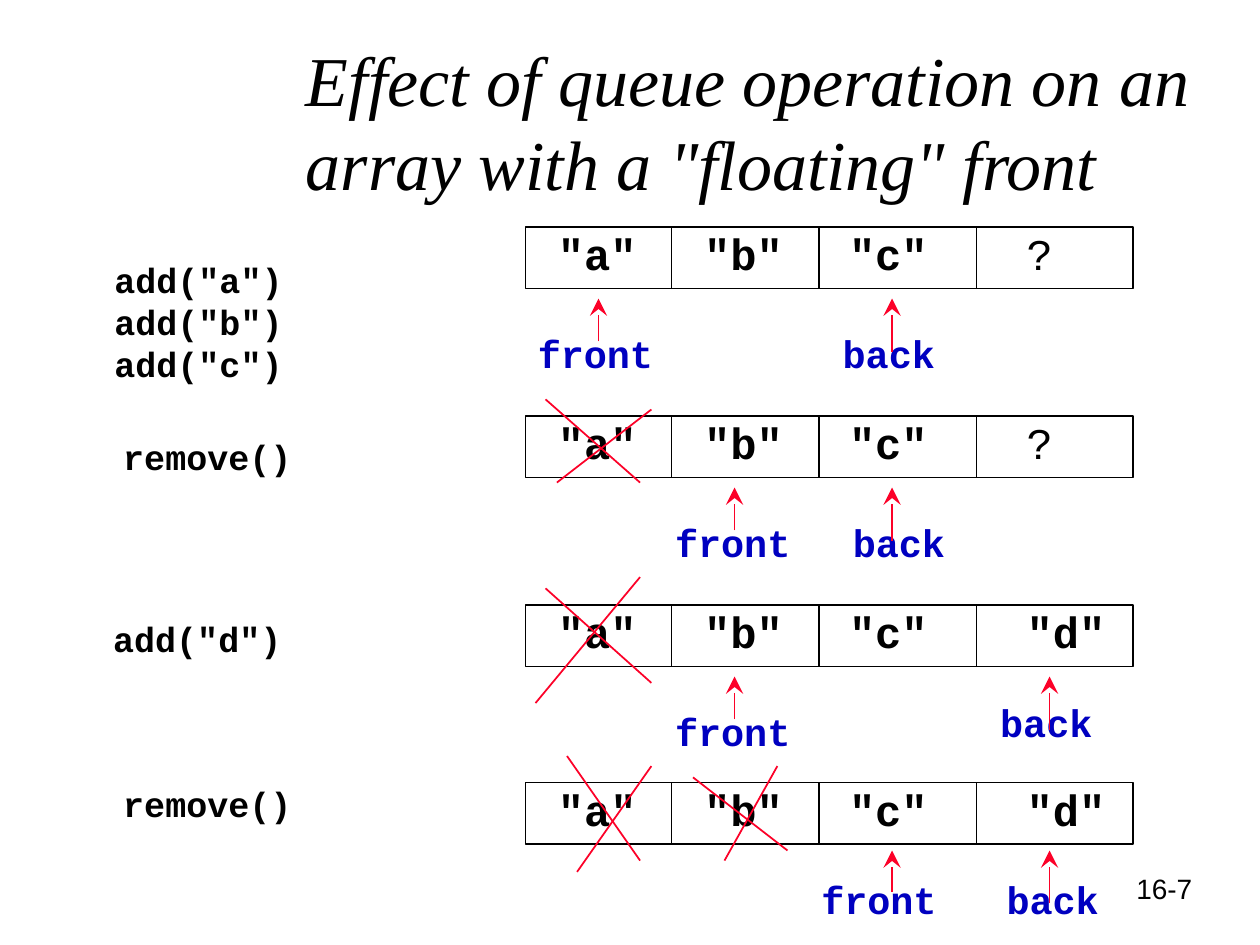
from lxml.etree import SubElement
from pptx import Presentation
from pptx.dml.color import RGBColor
from pptx.enum.shapes import MSO_CONNECTOR, MSO_SHAPE
from pptx.enum.text import MSO_ANCHOR
from pptx.oxml.ns import qn
from pptx.util import Inches, Pt

BLACK = RGBColor(0x00, 0x00, 0x00)
BLUE = RGBColor(0x00, 0x00, 0xC0)
RED = RGBColor(0xFC, 0x01, 0x28)
MONO = "Courier New"

TITLE = 'Effect of queue operation on an array with a "floating" front'
PAGE = "16-7"

# Calls: left, top, width, lines
CALLS = [
    (0.81, 2, 2.2, ['add("a")', 'add("b")', 'add("c")']),
    (0.88, 3.41, 1.54, ["remove()"]),
    (0.8, 4.85, 1.54, ['add("d")']),
    (0.88, 6.16, 1.54, ["remove()"]),
]

# Each state: top of the array, drop to the arrow tips, cells, and per
# pointer (name, arrow x, arrow length, label left, label drop)
STATES = [
    (1.8, 0.57, ['"a"', '"b"', '"c"', "?"],
     [("front", 4.75, 0.34, 4.17, 0.77), ("back", 7.08, 0.42, 6.59, 0.77)]),
    (3.3, 0.57, ['"a"', '"b"', '"c"', "?"],
     [("front", 5.83, 0.34, 5.26, 0.77), ("back", 7.08, 0.42, 6.67, 0.77)]),
    (4.8, 0.57, ['"a"', '"b"', '"c"', '"d"'],
     [("front", 5.83, 0.34, 5.26, 0.77), ("back", 8.33, 0.42, 7.84, 0.7)]),
    (6.21, 0.54, ['"a"', '"b"', '"c"', '"d"'],
     [("front", 7.08, 0.33, 6.42, 0.69), ("back", 8.33, 0.42, 7.89, 0.69)]),
]

# Strokes through removed cells: x1, y1, x2, y2
STROKES = [
    (5.17, 3.25, 4.42, 3.83), (4.33, 3.17, 5.08, 3.83),
    (5.08, 4.58, 4.25, 5.58), (4.33, 4.67, 5.17, 5.42),
    (4.5, 6, 5.08, 6.83), (5.17, 6.08, 4.58, 6.92),
    (5.5, 6.17, 6.25, 6.75), (6.17, 6.08, 5.75, 6.83),
]

LEFT, WIDTH, HEIGHT = 4.17, 4.82, 0.49
WALLS = [5.33, 6.5, 7.75]
CELLS = [4.33, 5.49, 6.64, 8.05]

prs = Presentation()
prs.slide_width, prs.slide_height = Inches(10), Inches(7.5)
slide = prs.slides.add_slide(prs.slide_layouts[6])


def write(x, y, w, h, lines, size, font=MONO, color=BLACK,
          bold=True, italic=False, wrap=False):
    box = slide.shapes.add_textbox(Inches(x), Inches(y), Inches(w), Inches(h))
    frame = box.text_frame
    frame.word_wrap = wrap
    frame.text = "\n".join(lines)
    for para in frame.paragraphs:
        para.line_spacing = Pt(size * 1.2)
        style = para.font
        style.name, style.size = font, Pt(size)
        style.bold, style.italic = bold, italic
        style.color.rgb = color
    return frame


def draw(x1, y1, x2, y2, color, arrow=False):
    line = slide.shapes.add_connector(
        MSO_CONNECTOR.STRAIGHT, Inches(x1), Inches(y1), Inches(x2), Inches(y2))
    line.line.color.rgb = color
    line.line.width = Pt(1)
    if arrow:
        SubElement(line.line._get_or_add_ln(), qn("a:tailEnd"),
                   type="stealth", w="lg", len="lg")
    SubElement(line._element.spPr, qn("a:effectLst"))


write(8.92, 6.87, 0.92, 0.36, [PAGE], 16, "Arial", bold=False, wrap=True)
title = write(2.33, 0.33, 7.58, 1.25, [TITLE], 40, "Times New Roman",
              bold=False, italic=True, wrap=True)
title.vertical_anchor = MSO_ANCHOR.MIDDLE

for x, y, w, lines in CALLS:
    write(x, y, w, 0.1 + len(lines) / 3, lines, 20)

for top, gap, cells, marks in STATES:
    for x, cell in zip(CELLS, cells):
        write(x, top - 0.05, 0.2 + 0.21 * len(cell), 0.52, [cell], 25,
              bold=cell != "?")
    for name, tip, length, x, drop in marks:
        write(x, top + drop, 0.21 + 0.19 * len(name), 0.47, [name], 22,
              color=BLUE)
    frame = slide.shapes.add_shape(
        MSO_SHAPE.RECTANGLE, Inches(LEFT), Inches(top),
        Inches(WIDTH), Inches(HEIGHT))
    frame.shadow.inherit = False
    frame.fill.background()
    frame.line.color.rgb = BLACK
    frame.line.width = Pt(1)
    for x in WALLS:
        draw(x, top, x, top + HEIGHT, BLACK)
    for name, tip, length, x, drop in marks:
        end = top + gap
        draw(tip, end + length, tip, end, RED, arrow=True)

for stroke in STROKES:
    draw(*stroke, RED)

prs.save("out.pptx")
